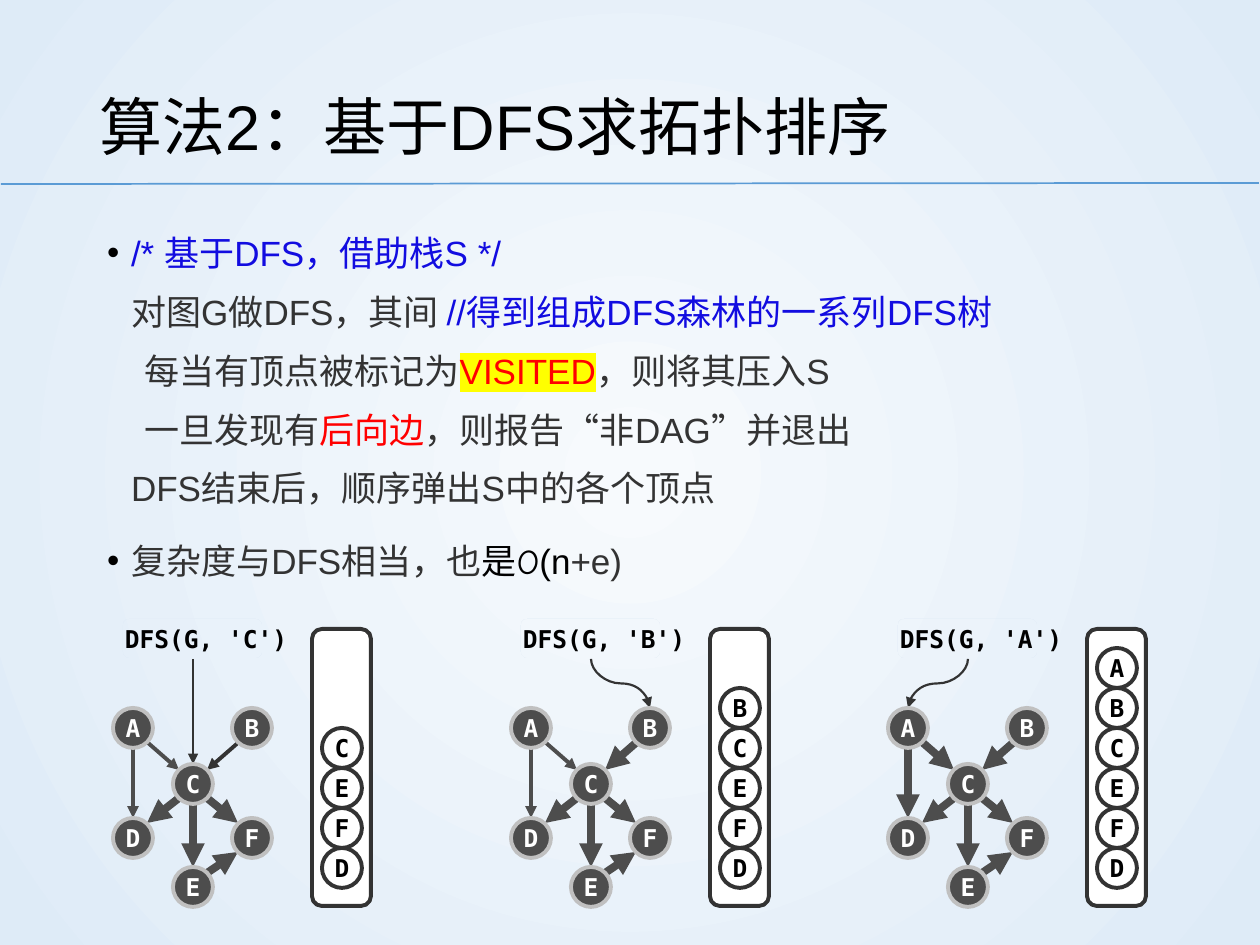
from copy import deepcopy

from lxml.etree import SubElement
from pptx import Presentation
from pptx.dml.color import RGBColor
from pptx.enum.shapes import MSO_CONNECTOR, MSO_SHAPE
from pptx.enum.text import MSO_ANCHOR, MSO_AUTO_SIZE, PP_ALIGN
from pptx.oxml import parse_xml
from pptx.oxml.ns import nsdecls, qn
from pptx.util import Inches, Pt

PX = Inches(1) // 126
MONO = "DejaVu Sans Mono"
BLUE, GREY, RED = "120CE0", "333333", "FF0000"


def rgb(value):
    return RGBColor.from_string(value)


def write(para, text, size=14, color="000000", font="Arial", bold=False, highlight=None):
    for index, line in enumerate(text.split("\n")):
        if index:
            para.add_line_break()
        if not line:
            continue
        span = para.add_run()
        span.text = line
        span.font.size = Pt(size)
        span.font.bold = bold
        span.font.color.rgb = rgb(color)
        if highlight:
            marker = SubElement(span._r.rPr, qn("a:highlight"))
            SubElement(marker, qn("a:srgbClr"), val=highlight)
        span.font.name = font
        if index:
            span._r.getprevious().append(deepcopy(span._r.rPr))


deck = Presentation()
deck.slide_width, deck.slide_height = Inches(10), Inches(7.5)
slide = deck.slides.add_slide(deck.slide_layouts[1])
shapes = slide.shapes

slide.background.fill.solid()
background = slide._element.cSld.bg.bgPr
background.replace(background[0], parse_xml(
    f'<a:gradFill {nsdecls("a")} rotWithShape="1"><a:gsLst>'
    '<a:gs pos="0"><a:srgbClr val="F7FAFD"/></a:gs>'
    '<a:gs pos="100000"><a:srgbClr val="DEEBF7"/></a:gs></a:gsLst>'
    '<a:path path="circle"><a:fillToRect l="50000" t="50000" r="50000" b="50000"/></a:path>'
    '</a:gradFill>'))

title = shapes.title
title.left, title.top, title.width, title.height = 87 * PX, 50 * PX, 1086 * PX, 136 * PX
title.text_frame.auto_size = MSO_AUTO_SIZE.NONE
title.text_frame.vertical_anchor = MSO_ANCHOR.MIDDLE
para = title.text_frame.paragraphs[0]
para.alignment = PP_ALIGN.LEFT
para.line_spacing = 1.2
write(para, "算法2：基于DFS求拓扑排序", size=36)

body = shapes.placeholders[1]
body.left, body.top, body.width, body.height = 87 * PX, 205 * PX, 1086 * PX, 646 * PX
frame = body.text_frame
frame.auto_size = MSO_AUTO_SIZE.NONE
frame.word_wrap = True
frame.margin_left, frame.margin_right = 20 * PX, 0
frame.margin_top = frame.margin_bottom = 10 * PX
items = [
    [("/* 基于DFS，借助栈S */", {"color": BLUE}),
     ("\n对图G做DFS，其间 ", {}),
     ("//得到组成DFS森林的一系列DFS树", {"color": BLUE}),
     ("\n\t每当有顶点被标记为", {}),
     ("VISITED", {"color": RED, "highlight": "FFFF00"}),
     ("，则将其压入S\n\t一旦发现有", {}),
     ("后向边", {"color": RED}),
     ("，则报告“非DAG”并退出\nDFS结束后，顺序弹出S中的各个顶点", {})],
    [("复杂度与DFS相当，也", {}),
     ("是", {"color": "000000"}),
     ("O", {"color": "000000", "font": "Comic Neue"}),
     ("(n", {"color": "000000"}),
     ("+e)", {})],
]
for index, item in enumerate(items):
    para = frame.add_paragraph() if index else frame.paragraphs[0]
    para.line_spacing = 1.4
    para.space_before = Pt(6 if index else 0)
    para.space_after = Pt(2)
    layout = para._p.get_or_add_pPr()
    layout.set("marL", str(24 * PX))
    layout.set("indent", str(-24 * PX))
    bullet_color = SubElement(layout, qn("a:buClr"))
    SubElement(bullet_color, qn("a:srgbClr"), val="000000")
    SubElement(layout, qn("a:buChar"), char="•")
    tabs = SubElement(layout, qn("a:tabLst"))
    for position, side in [(37, "l"), (111, "l"), (186, "l"), (1100, "r")]:
        SubElement(tabs, qn("a:tab"), pos=str(position * PX), algn=side)
    for text, style in item:
        write(para, text, **{"size": 20, "color": GREY, **style})

nodes = {"A": (0, 708), "B": (119, 708), "C": (60, 764),
         "D": (0, 818), "E": (60, 867), "F": (119, 818)}
edges = {"AD": (20, 748, 20, 818), "AC": (34, 742, 66, 770), "CD": (66, 798, 34, 823),
         "CE": (80, 804, 80, 867), "EF": (94, 873, 125, 852), "CF": (94, 798, 125, 823),
         "BC": (126, 742, 94, 770)}
panels = [(113, "C", "DFEC", ["AD", "AC", "BC"]),
          (511, "B", "DFECB", ["AD", "AC"]),
          (888, "A", "DFECBA", [])]

lines = [(MSO_CONNECTOR.STRAIGHT, 1, 184, 1259, 183, "5B9BD5", 1)]
blocks = []
for left, start, stack, thin in panels:
    for name, (x1, y1, x2, y2) in edges.items():
        color = GREY if name == "BC" and name in thin else "4D4D4D"
        lines.append((MSO_CONNECTOR.STRAIGHT, left + x1, y1, left + x2, y2,
                      color, 2.25 if name in thin else 4.5))
    x, y = nodes[start]
    run, drop = x + 20 - 80, y - 659
    middle_x, middle_y = left + 80 + run / 2, 659 + drop / 2
    lines.append((MSO_CONNECTOR.CURVE, middle_x - drop / 2, middle_y + run / 2,
                  middle_x + drop / 2, middle_y - run / 2, GREY, 1.25))
    for name, (x, y) in nodes.items():
        blocks.append((MSO_SHAPE.OVAL, left + x, y, 40, 40, "4D4D4D", "C0C0C0", name, "FFFFFF"))
    blocks.append((MSO_SHAPE.ROUNDED_RECTANGLE, left + 199, 629, 59, 277, "FFFFFF", GREY, "", ""))
    for level, name in enumerate(stack):
        blocks.append((MSO_SHAPE.OVAL, left + 209, 848 - 40 * level, 40, 40,
                       "FFFFFF", GREY, name, "000000"))
    blocks.append((MSO_SHAPE.ROUNDED_RECTANGLE, left + 10, 619, 139, 39,
                   None, None, f"DFS(G, '{start}')", "000000"))

for kind, x1, y1, x2, y2, color, width in lines:
    line = shapes.add_connector(kind, *(int(value * PX) for value in (x1, y1, x2, y2)))
    line.line.color.rgb = rgb(color)
    line.line.width = Pt(width)
    properties = line._element.spPr
    if kind == MSO_CONNECTOR.CURVE:
        properties.find(qn("a:xfrm")).set("rot", "5400000")
    if width != 1:
        SubElement(line.line._get_or_add_ln(), qn("a:tailEnd"), type="triangle")
    SubElement(properties, qn("a:effectLst"))

for kind, x, y, width, height, fill, outline, text, color in blocks:
    box = shapes.add_shape(kind, x * PX, y * PX, width * PX, height * PX)
    box.shadow.inherit = False
    if fill:
        box.fill.solid()
        box.fill.fore_color.rgb = rgb(fill)
        box.line.color.rgb = rgb(outline)
        box.line.width = Pt(2.25)
    else:
        box._element.set("useBgFill", "1")
        box.line.fill.background()
    if text:
        frame = box.text_frame
        frame.word_wrap = False
        frame.vertical_anchor = MSO_ANCHOR.MIDDLE
        frame.margin_left = frame.margin_right = frame.margin_top = frame.margin_bottom = 0
        para = frame.paragraphs[0]
        para.alignment = PP_ALIGN.CENTER if fill else PP_ALIGN.LEFT
        write(para, text, color=color, font=MONO, bold=True)

deck.save("out.pptx")
